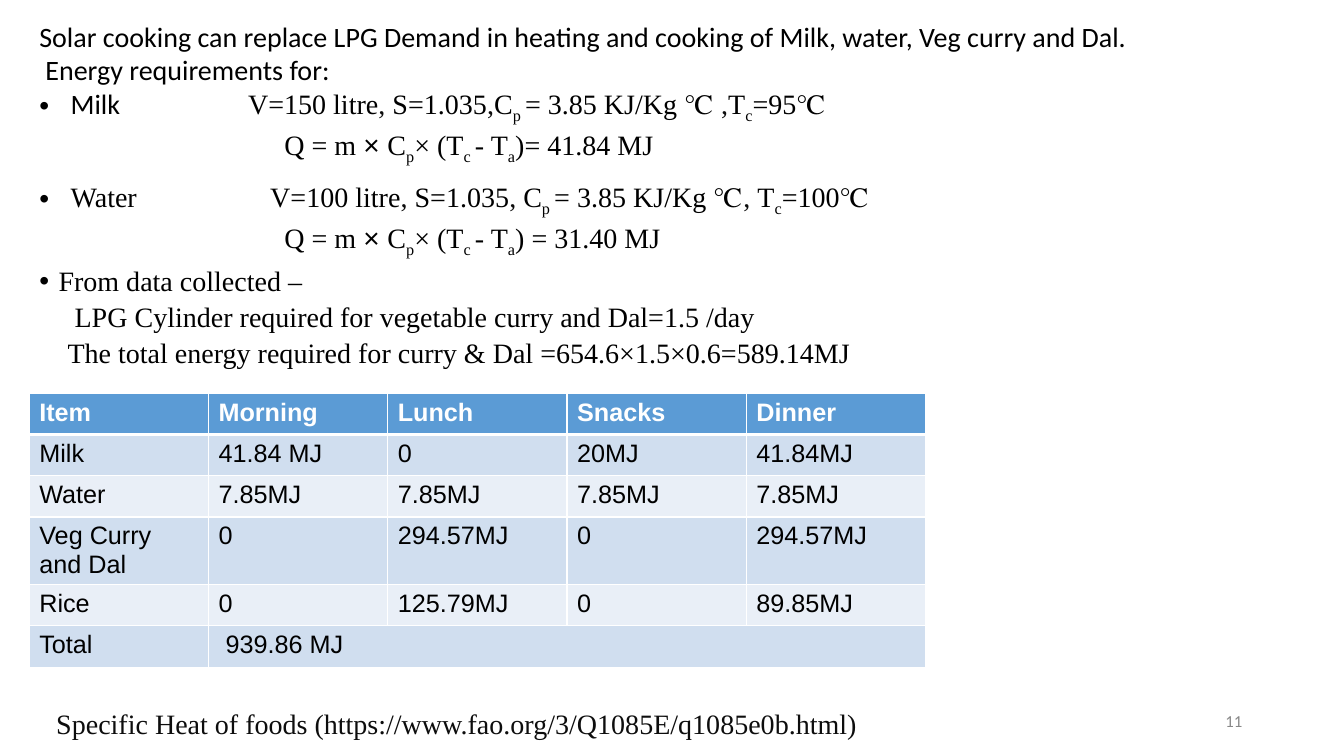
from lxml import etree
from pptx import Presentation
from pptx.dml.color import RGBColor
from pptx.enum import text
from pptx.oxml import ns
from pptx.util import Inches, Pt

# Content: each line is (layout, spans), each span is (wording, style)
COLORS = {"ink": "000000", "dim": "0D0D0D", "number": "888888", "white": "FFFFFF",
          "header": "5B9BD5", "odd": "D0DEEF", "even": "E9EFF7"}
SERIF, SANS, PLAIN = "Times New Roman", "Arial", "Calibri"
STYLES = {  # font, color, baseline
    "plain": (PLAIN, "ink", 0),
    "serif": (SERIF, "ink", 0),
    "dim": (SERIF, "dim", 0),
    "sub": (SERIF, "ink", -25000),
    "sign": (SANS, "ink", 0),
}


def given(volume, comma, gap, temperature):
    return [(f"\tV={volume} litre", "serif"), (", ", "dim"), ("S=1.035", "serif"),
            (comma, "dim"), ("C", "serif"), ("p ", "sub"), ("= 3.85 KJ/Kg ℃", "serif"),
            (gap, "dim"), ("T", "serif"), ("c", "sub"), (f"={temperature}℃", "serif")]


def heat(result):
    return [("Q = m ", "serif"), ("× ", "sign"), ("C", "serif"), ("p", "sub"),
            ("× (T", "serif"), ("c ", "sub"), ("- T", "serif"), ("a", "sub"),
            (result, "serif")]


LINES = [
    ({}, [("Solar cooking can replace LPG Demand in heating and cooking of Milk, "
           "water, Veg curry and Dal.", "plain")]),
    ({"left": 0.06}, [("Energy requirements for:", "plain")]),
    ({"left": 0.31, "bullet": True, "tab": 2.07},
     [("Milk", "plain")] + given(150, ",", " ,", 95)),
    ({"left": 2.43, "justify": True}, heat(")= 41.84 MJ")),
    ({"left": 0.31, "bullet": True, "tab": 2.29, "before": 8, "justify": True},
     [("Water", "serif")] + given(100, ", ", ", ", 100)),
    ({"left": 2.43, "justify": True}, heat(") = 31.40 MJ")),
    ({"left": 0.19, "bullet": True, "before": 2, "justify": True},
     [("From data collected –", "serif")]),
    ({"left": 0.35, "justify": True},
     [("LPG Cylinder required for vegetable curry and Dal=1.5 /day", "serif")]),
    ({"left": 0.28, "justify": True},
     [("The total energy required for curry & Dal =654.6×1.5×0.6=589.14MJ", "serif")]),
]
ENERGY = [
    ["Item", "Morning", "Lunch", "Snacks", "Dinner"],
    ["Milk", "41.84 MJ", "0", "20MJ", "41.84MJ"],
    ["Water", "7.85MJ", "7.85MJ", "7.85MJ", "7.85MJ"],
    ["Veg Curry and Dal", "0", "294.57MJ", "0", "294.57MJ"],
    ["Rice", "0", "125.79MJ", "0", "89.85MJ"],
    ["Total", " 939.86 MJ", "", "", ""],
]
ROW_HEIGHTS = [0.41, 0.41, 0.41, 0.67, 0.41, 0.41]
SOURCE = "Specific Heat of foods (https://www.fao.org/3/Q1085E/q1085e0b.html)"


def color(name):
    return RGBColor.from_string(COLORS[name])


def format_font(font, name, size, ink, bold=False):
    font.name, font.size, font.bold = name, Pt(size), bold
    font.color.rgb = color(ink)


def add_part(parent, tag, **attributes):
    return etree.SubElement(parent, ns.qn(tag), attributes)


def lay_out(para, left=0, bullet=False, tab=None, before=0, justify=False):
    properties = para._p.get_or_add_pPr()
    properties.set("marL", str(Inches(left)))
    properties.set("indent", str(-Inches(left) if bullet else 0))
    if bullet:
        add_part(add_part(properties, "a:buClr"), "a:srgbClr", val=COLORS["ink"])
        add_part(properties, "a:buFont", typeface=SANS)
        add_part(properties, "a:buChar", char="•")
    else:
        add_part(properties, "a:buNone")
    if tab:
        add_part(add_part(properties, "a:tabLst"), "a:tab", pos=str(Inches(tab)), algn="l")
    para.space_before = Pt(before)
    para.line_spacing = 1.07 if justify else 1.0
    para.alignment = text.PP_ALIGN.JUSTIFY if justify else text.PP_ALIGN.LEFT


def add_label(page, wording, place, name, size, ink):
    box = page.shapes.add_textbox(*map(Inches, place))
    box.text_frame.word_wrap = True
    box.text_frame.text = wording
    format_font(box.text_frame.paragraphs[0].runs[0].font, name, size, ink)
    return box.text_frame


def add_border(cell, side, width):
    line = add_part(cell._tc.get_or_add_tcPr(), f"a:{side}", w=str(Pt(width)))
    add_part(add_part(line, "a:solidFill"), "a:srgbClr", val=COLORS["white"])


def fill_body(body):
    body.left, body.top, body.width, body.height = map(Inches, (0.29, 0.14, 12.75, 3.7))
    frame = body.text_frame
    frame.auto_size = text.MSO_AUTO_SIZE.NONE
    for index, (layout, spans) in enumerate(LINES):
        para = frame.add_paragraph() if index else frame.paragraphs[0]
        lay_out(para, **layout)
        for wording, style in spans:
            span = para.add_run()
            span.text = wording
            name, ink, baseline = STYLES[style]
            format_font(span.font, name, 20, ink)
            if baseline:
                span.font._element.set("baseline", str(baseline))


def add_energy_table(page):
    columns = len(ENERGY[0])
    place = map(Inches, (0.29, 3.9, 8.89, sum(ROW_HEIGHTS)))
    table = page.shapes.add_table(len(ENERGY), columns, *place).table
    for column in table.columns:
        column.width = Inches(8.89 / columns)
    for r, values in enumerate(ENERGY):
        table.rows[r].height = Inches(ROW_HEIGHTS[r])
        fill = "odd" if r % 2 else "even"
        for c, value in enumerate(values):
            cell = table.cell(r, c)
            for side in ("lnL", "lnR", "lnT", "lnB"):
                heavy = (r == 0 and side == "lnB") or (r == 1 and side == "lnT")
                add_border(cell, side, 3 if heavy else 1)
            cell.fill.solid()
            cell.fill.fore_color.rgb = color(fill if r else "header")
            cell.text_frame.text = value
            format_font(cell.text_frame.paragraphs[0].font, SANS, 18,
                        "ink" if r else "white", bold=r == 0)
    table.cell(len(ENERGY) - 1, 1).merge(table.cell(len(ENERGY) - 1, columns - 1))


def main():
    deck = Presentation()
    deck.slide_width, deck.slide_height = Inches(13.33), Inches(7.5)
    page = deck.slides.add_slide(deck.slide_layouts[1])
    title = page.shapes.title
    title._element.getparent().remove(title._element)

    # Requirements, table, then source and page number
    fill_body(page.placeholders[1])
    add_energy_table(page)
    add_label(page, SOURCE, (0.46, 6.96, 8.56, 0.44), SERIF, 20, "dim")
    number = add_label(page, "11", (9.42, 6.95, 3, 0.4), PLAIN, 12, "number")
    number.vertical_anchor = text.MSO_ANCHOR.MIDDLE
    number.paragraphs[0].alignment = text.PP_ALIGN.RIGHT
    deck.save("out.pptx")


if __name__ == "__main__":
    main()
